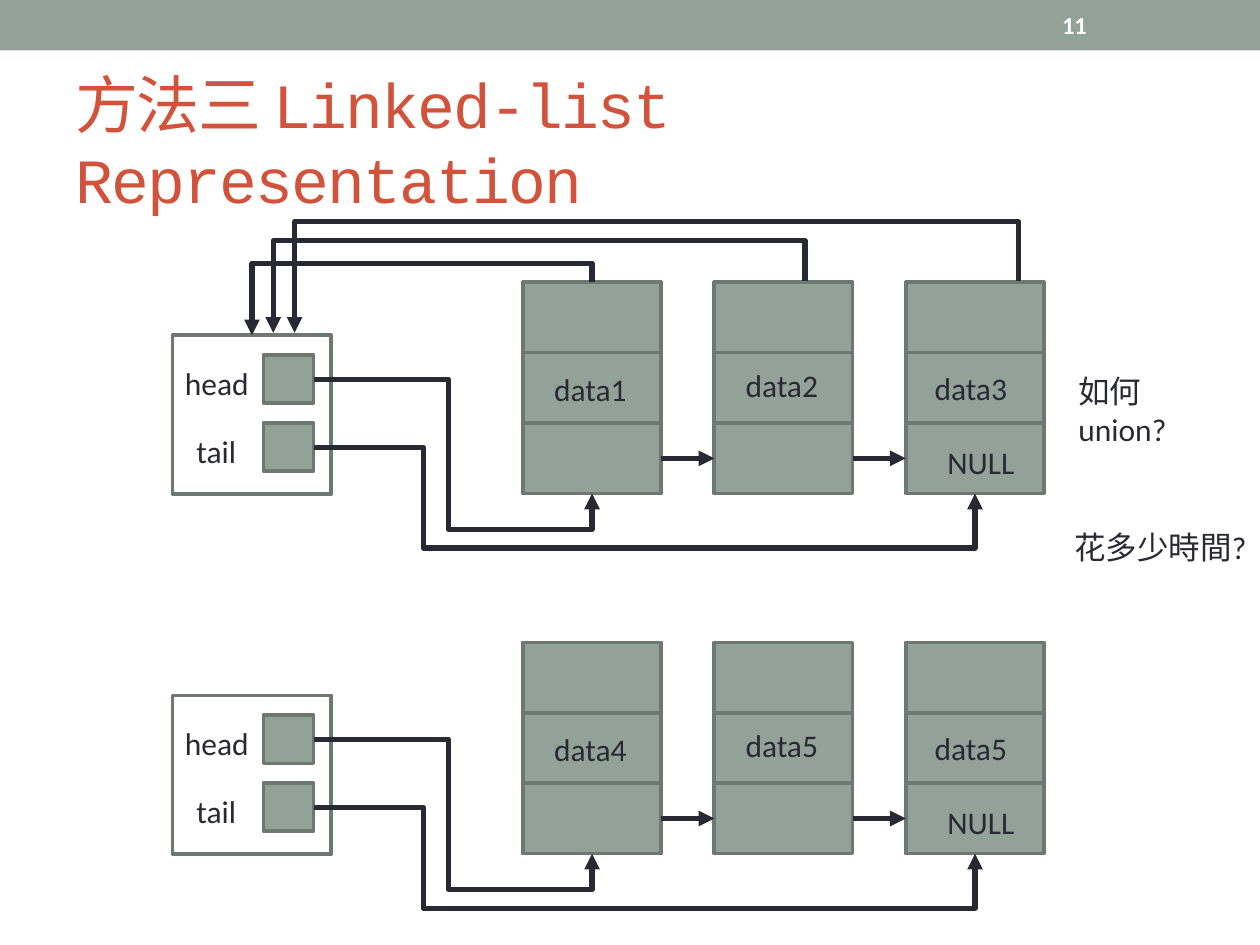
from lxml.etree import SubElement
from pptx import Presentation
from pptx.dml.color import RGBColor
from pptx.enum.shapes import MSO_CONNECTOR as Link, MSO_SHAPE as Shape
from pptx.enum.text import MSO_ANCHOR as Anchor, MSO_AUTO_SIZE as Fit, PP_ALIGN as Align
from pptx.oxml.ns import qn
from pptx.util import Cm, Pt

SAGE, EDGE, INK, RED, WHITE = "93A299", "6D7871", "292934", "D2533C", "FFFFFF"
rgb = RGBColor.from_string


def write(shape, text, size=18, color=INK, font="Calibri", bold=False,
          wrap=False, anchor=Anchor.TOP, fit=Fit.NONE):
    frame = shape.text_frame
    frame.auto_size = fit
    frame.word_wrap = wrap
    frame.vertical_anchor = anchor
    para = frame.paragraphs[0]
    para.alignment = Align.LEFT
    run = para.add_run()
    run.text = text
    run.font.size, run.font.name, run.font.bold = Pt(size), font, bold
    run.font.color.rgb = rgb(color)
    return run


def wire(start, end, kind=Link.STRAIGHT, via_x=None, via_y=None):
    """Draw an arrow; an end is a (shape, site) pair or a point in EMU."""
    conn = shapes.add_connector(kind, 0, 0, 0, 0)
    if isinstance(start[0], int):
        conn.begin_x, conn.begin_y = start
    else:
        conn.begin_connect(*start)
    if isinstance(end[0], int):
        conn.end_x, conn.end_y = end
    else:
        conn.end_connect(*end)
    conn.line.color.rgb = rgb(INK)
    conn.line.width = Pt(3)
    props = conn.element.spPr
    SubElement(props.find(qn("a:ln")), qn("a:tailEnd"), type="triangle")
    SubElement(props, qn("a:effectLst"))
    if via_y is None:
        return
    x0, y0, x1, y1 = conn.begin_x, conn.begin_y, conn.end_x, conn.end_y
    bends = [(via_y - y0) / (y1 - y0)]
    geom = props.find(qn("a:prstGeom"))
    if via_x is None:
        # Leaves upward: the frame is turned by 270 degrees about its centre
        wide, high = abs(y1 - y0), abs(x1 - x0)
        conn.left, conn.top = (x0 + x1 - wide) // 2, (y0 + y1 - high) // 2
        conn.width, conn.height = wide, high
        frame = props.find(qn("a:xfrm"))
        for key, val in (("rot", "16200000"), ("flipH", "1"), ("flipV", "1")):
            frame.set(key, val)
        names = ["adj1"]
        geom.set("prst", "bentConnector3")
    else:
        bends.insert(0, (via_x - x0) / (x1 - x0))
        names = ["adj1", "adj2"]
        geom.set("prst", "bentConnector4")
    for name, bend in zip(names, bends):
        SubElement(geom.find(qn("a:avLst")), qn("a:gd"), name=name,
                   fmla=f"val {round(bend * 100000)}")


deck = Presentation()
deck.slide_width, deck.slide_height = Cm(25.4), Cm(19.05)
slide = deck.slides.add_slide(deck.slide_layouts[5])
shapes = slide.shapes

band = shapes.add_shape(Shape.RECTANGLE, 0, 0, Cm(25.4), Cm(1.02))
band.shadow.inherit = False
band.fill.solid()
band.fill.fore_color.rgb = rgb(SAGE)
band.line.fill.background()

title = shapes.title
title.left, title.top, title.width, title.height = Cm(1.27), Cm(1.47), Cm(22.86), Cm(2.74)
run = write(title, "方法三 Linked-list Representation", size=36, color=RED,
            font="Courier New", wrap=True, anchor=Anchor.MIDDLE)
run.font._element.set("spc", "-100")

page = shapes.add_textbox(Cm(21.16), Cm(0.05), Cm(2.97), Cm(0.91))
write(page, "11", size=14, color=WHITE, bold=True, wrap=True, anchor=Anchor.MIDDLE)

# Both lists share one layout; lengths are in cm from the top of the nodes
LEFT, STEP, WIDE, ROW = 10.54, 3.86, 2.79, 1.42
lists = [(5.69, ["data1", "data2", "data3"]), (12.95, ["data4", "data5", "data5"])]
for top, words in lists:
    spots = [(3.48, 1.07, 3.2, 3.2, None)]
    spots += [(5.31, y, 1.01, 0.97, SAGE) for y in (1.47, 2.84)]
    spots += [(LEFT + i * STEP, j * ROW, WIDE, ROW, SAGE)
              for i in range(3) for j in range(3)]
    rects = []
    for x, y, w, h, fill in spots:
        rect = shapes.add_shape(Shape.RECTANGLE, Cm(x), Cm(top + y), Cm(w), Cm(h))
        rect.shadow.inherit = False
        if fill:
            rect.fill.solid()
            rect.fill.fore_color.rgb = rgb(fill)
        else:
            rect.fill.background()
        rect.line.color.rgb = rgb(EDGE)
        rect.line.width = Pt(2.08)
        rects.append(rect)
    root, head, tail, *cells = rects
    tops, ends = cells[::3], cells[2::3]

    if top == lists[0][0]:
        wire((tops[0], 0), (root, 0), Link.ELBOW, via_y=Cm(5.31))
        for x0, x1, y in ((16.23, 5.51, 4.85), (20.53, 5.94, 4.47)):
            wire((Cm(x0), Cm(5.66)), (Cm(x1), Cm(6.71)), Link.ELBOW, via_y=Cm(y))
    wire((tail, 3), (ends[2], 2), Link.ELBOW, Cm(8.53), Cm(top + 5.36))
    wire((head, 3), (ends[0], 2), Link.ELBOW, Cm(9.04), Cm(top + 4.98))
    for one, two in zip(ends, ends[1:]):
        wire((one, 3), (two, 1))

    notes = [("head", 3.48, 1.52, 1.83), ("tail", 3.71, 2.9, 1.35),
             ("NULL", 18.85, 3.12, 2.06)]
    notes += [(word, x, y, 2.46) for word, x, y in
              zip(words, (10.92, 14.78, 18.59), (1.65, 1.56, 1.62))]
    for word, x, y, w in notes:
        note = shapes.add_textbox(Cm(x), Cm(top + y), Cm(w), Cm(1.02))
        write(note, word, wrap=word.startswith("data"), fit=Fit.SHAPE_TO_FIT_TEXT)

for words, x, y, w, wrap in (("如何union?", 21.49, 7.37, 3.4, True),
                             ("花多少時間?", 21.41, 10.52, 3.99, False)):
    ask = shapes.add_textbox(Cm(x), Cm(y), Cm(w), Cm(1.02))
    write(ask, words, wrap=wrap, fit=Fit.SHAPE_TO_FIT_TEXT)

deck.save("out.pptx")
